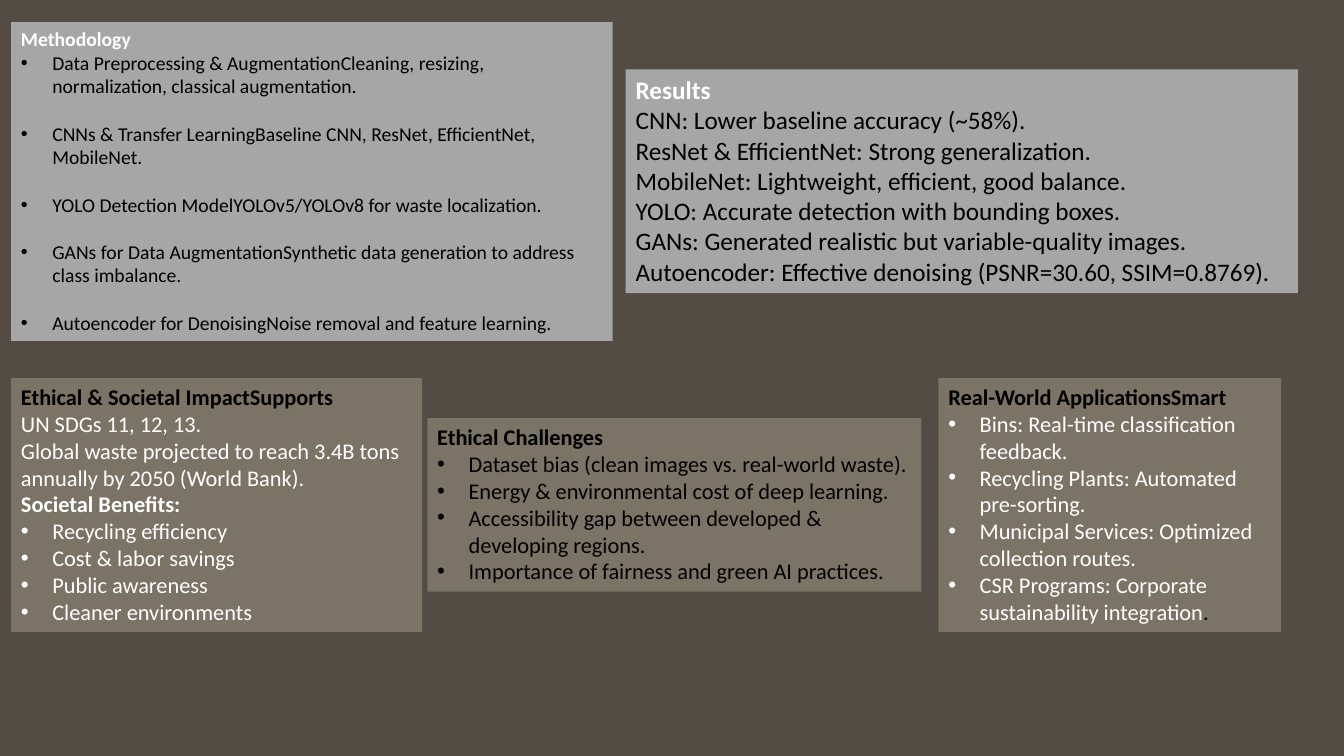
import pptx
import pptx.dml.color
import pptx.enum.text
import pptx.oxml.ns
import pptx.util
from lxml import etree

Cm = pptx.util.Cm
Pt = pptx.util.Pt
RGBColor = pptx.dml.color.RGBColor

BACKGROUND = RGBColor(0x52, 0x4C, 0x44)
GREY = RGBColor(0xA6, 0xA6, 0xA6)
TAUPE = RGBColor(0x7B, 0x73, 0x66)
WHITE = RGBColor(0xFF, 0xFF, 0xFF)
BLACK = RGBColor(0x00, 0x00, 0x00)


def set_values(target, values):
    for name, value in values.items():
        setattr(target, name, value)


class Panels:
    """Holds the shared text style and the current page."""

    font = {"name": "Calibri", "bold": False}
    frame = {"word_wrap": True,
             "auto_size": pptx.enum.text.MSO_AUTO_SIZE.SHAPE_TO_FIT_TEXT}
    indent = Cm(0.79)

    def __init__(self, page):
        self.page = page
        page.background.fill.solid()
        page.background.fill.fore_color.rgb = BACKGROUND

    def panel(self, place, fill, size, heading, heading_color):
        box = self.page.shapes.add_textbox(*map(Cm, place))
        box.fill.solid()
        box.fill.fore_color.rgb = fill
        set_values(box.text_frame, self.frame)
        self.span(box.text_frame.paragraphs[0], heading, size, heading_color, bold=True)
        return box

    def span(self, para, text, size, color, **extra):
        span = para.add_run()
        span.text = text
        set_values(span.font, {**self.font, "size": Pt(size), **extra})
        span.font.color.rgb = color
        return span

    def line(self, box, text, size, color, **extra):
        para = box.text_frame.add_paragraph()
        self.span(para, text, size, color, **extra)
        return para

    def bullets(self, box, texts, size, color, gap=0):
        for number, text in enumerate(texts):
            para = box.text_frame.add_paragraph()
            properties = para._p.get_or_add_pPr()
            properties.set("marL", str(self.indent))
            properties.set("indent", str(-self.indent))
            for tag, attribute, value in (("a:buFont", "typeface", "Arial"),
                                          ("a:buChar", "char", "•")):
                mark = etree.SubElement(properties, pptx.oxml.ns.qn(tag))
                mark.set(attribute, value)
            if gap and number:
                para.space_before = Pt(gap)
            self.span(para, text, size, color)
        return para


def main():
    deck = pptx.Presentation()
    set_values(deck, {"slide_width": Cm(33.87), "slide_height": Cm(19.05)})
    panels = Panels(deck.slides.add_slide(deck.slide_layouts[6]))

    # Methodology
    box = panels.panel((0.28, 0.56, 15.16, 8.03), GREY, 14, "Methodology", WHITE)
    panels.bullets(box, [
        "Data Preprocessing & AugmentationCleaning, resizing, normalization, "
        "classical augmentation.",
        "CNNs & Transfer LearningBaseline CNN, ResNet, EfficientNet, MobileNet.",
        "YOLO Detection ModelYOLOv5/YOLOv8 for waste localization.",
        "GANs for Data AugmentationSynthetic data generation to address class imbalance.",
        "Autoencoder for DenoisingNoise removal and feature learning.",
    ], 14, BLACK, gap=17)

    # Results
    box = panels.panel((15.77, 1.75, 16.94, 5.64), GREY, 18, "Results", WHITE)
    for text in (
        "CNN: Lower baseline accuracy (~58%).",
        "ResNet & EfficientNet: Strong generalization.",
        "MobileNet: Lightweight, efficient, good balance.",
        "YOLO: Accurate detection with bounding boxes.",
        "GANs: Generated realistic but variable-quality images.",
        "Autoencoder: Effective denoising (PSNR=30.60, SSIM=0.8769).",
    ):
        panels.line(box, text, 18, BLACK)

    # Ethical and societal impact
    box = panels.panel((0.28, 9.53, 10.36, 6.4), TAUPE, 16,
                       "Ethical & Societal ImpactSupports", BLACK)
    panels.line(box, "UN SDGs 11, 12, 13.", 16, WHITE)
    panels.line(box, "Global waste projected to reach 3.4B tons annually by 2050 "
                     "(World Bank).", 16, WHITE)
    panels.line(box, "Societal Benefits:", 16, WHITE, bold=True)
    panels.bullets(box, ["Recycling efficiency", "Cost & labor savings",
                         "Public awareness", "Cleaner environments"], 16, WHITE)

    # Ethical challenges
    box = panels.panel((10.77, 10.54, 12.45, 4.37), TAUPE, 16,
                       "Ethical Challenges", BLACK)
    panels.bullets(box, [
        "Dataset bias (clean images vs. real-world waste).",
        "Energy & environmental cost of deep learning.",
        "Accessibility gap between developed & developing regions.",
        "Importance of fairness and green AI practices.",
    ], 16, BLACK)

    # Real-world applications, closing with a black full stop
    box = panels.panel((23.65, 9.53, 8.64, 6.4), TAUPE, 16,
                       "Real-World ApplicationsSmart", BLACK)
    last = panels.bullets(box, [
        "Bins: Real-time classification feedback.",
        "Recycling Plants: Automated pre-sorting.",
        "Municipal Services: Optimized collection routes.",
        "CSR Programs: Corporate sustainability integration",
    ], 16, WHITE)
    panels.span(last, ".", 16, BLACK)

    deck.save("out.pptx")


if __name__ == "__main__":
    main()
